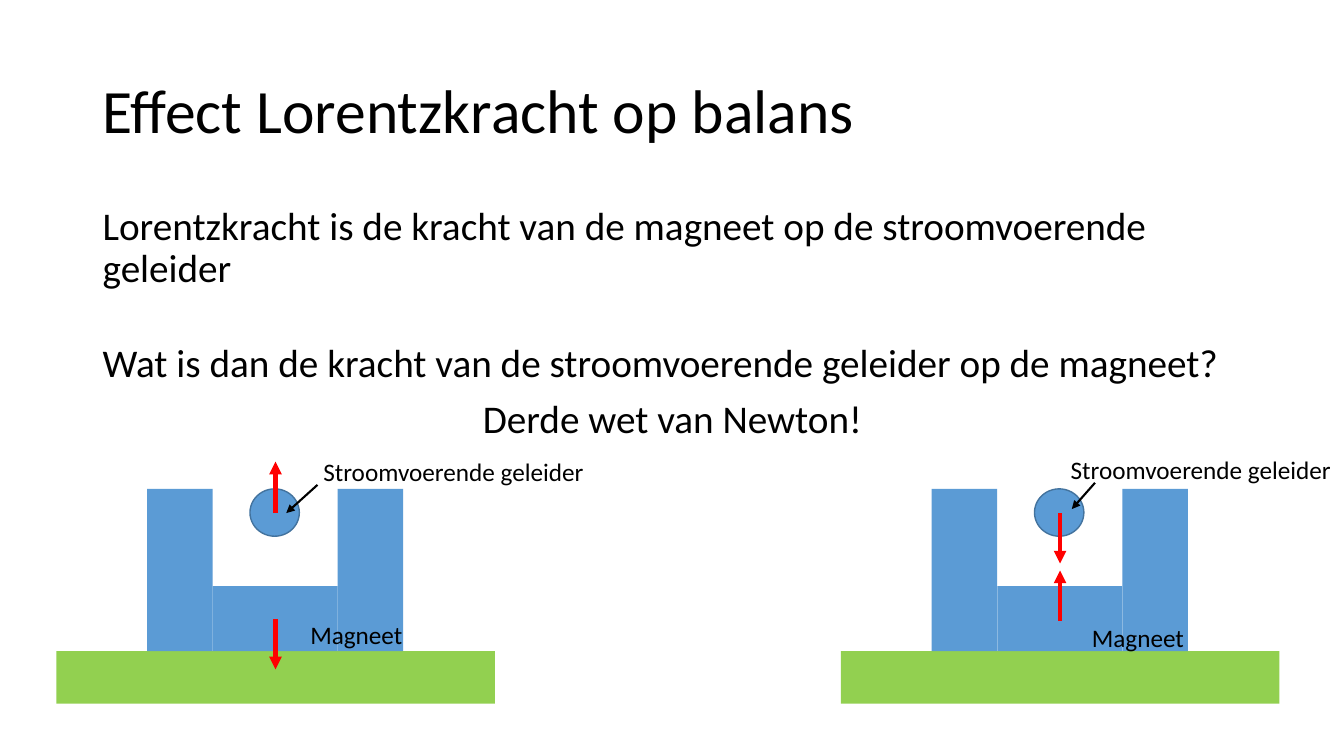
from dataclasses import dataclass

from lxml import etree
from pptx import Presentation
from pptx.dml.color import RGBColor
from pptx.enum.shapes import MSO_CONNECTOR, MSO_SHAPE
from pptx.enum.text import MSO_ANCHOR, PP_ALIGN
from pptx.oxml.ns import qn
from pptx.util import Inches, Pt

RECT, OVAL = MSO_SHAPE.RECTANGLE, MSO_SHAPE.OVAL
LINE = MSO_CONNECTOR.STRAIGHT
TOP, MIDDLE = MSO_ANCHOR.TOP, MSO_ANCHOR.MIDDLE
LEFT, CENTER = PP_ALIGN.LEFT, PP_ALIGN.CENTER


@dataclass(frozen=True)
class Theme:
    """Colours, font and type sizes of the slide."""
    font: str = "Calibri"
    ink: RGBColor = RGBColor(0, 0, 0)
    blue: RGBColor = RGBColor(0x5B, 0x9B, 0xD5)
    edge: RGBColor = RGBColor(0x43, 0x73, 0x9E)
    green: RGBColor = RGBColor(0x92, 0xD0, 0x50)
    red: RGBColor = RGBColor(0xFF, 0, 0)
    title: int = 44
    body: int = 28
    label: int = 18


theme = Theme()
deck = Presentation()
deck.slide_width, deck.slide_height = Inches(13.33), Inches(7.5)
slide = deck.slides.add_slide(deck.slide_layouts[6])
shapes = slide.shapes

# The grid has 40 columns and 30 rows.
col, row = deck.slide_width / 40, deck.slide_height / 30


def place(*cells):
    """Turn alternating columns and rows into slide lengths."""
    return [round(n * (row if i % 2 else col)) for i, n in enumerate(cells)]


def write(box, lines, size, anchor=TOP, wrap=True, lead=0.9):
    """Add a text box; each line is (text, alignment, space before)."""
    frame = shapes.add_textbox(*place(*box)).text_frame
    frame.word_wrap = wrap
    frame.vertical_anchor = anchor
    for i, (text, align, gap) in enumerate(lines):
        para = frame.add_paragraph() if i else frame.paragraphs[0]
        para.alignment, para.line_spacing = align, lead
        para.space_before = Pt(gap)
        run = para.add_run()
        run.text = text
        run.font.name, run.font.size = theme.font, Pt(size)
        run.font.color.rgb = theme.ink


write((2.76, 1.6, 34.5, 5.8),
      [("Effect Lorentzkracht op balans", LEFT, 0)], theme.title, MIDDLE)
write((2.76, 8, 34.5, 19), [
    ("Lorentzkracht is de kracht van de magneet op de stroomvoerende geleider",
     LEFT, 10),
    ("Wat is dan de kracht van de stroomvoerende geleider op de magneet?",
     LEFT, 37.5),
    ("Derde wet van Newton!", CENTER, 10),
], theme.body)

# Parts of one balance: kind, cells, fill, edge.
parts = [
    (RECT, (1.68, 25.84, 13.05, 2.08), theme.green, None),
    (RECT, (4.38, 19.4, 1.95, 6.44), theme.blue, None),
    (RECT, (6.33, 23.26, 3.72, 2.58), theme.blue, None),
    (RECT, (10.05, 19.4, 1.95, 6.44), theme.blue, None),
    (OVAL, (7.44, 19.4, 1.47, 1.88), theme.blue, theme.edge),
]

# Each scene: shift, force rows (wire, magnet), pointer, label corners.
mid = 8.2
scenes = [
    (0, [(20.36, 18.32), (24.56, 26.56)], (9.45, 19.24, 8.52, 20.36),
     (9.33, 17.92), (8.94, 24.36)),
    (23.35, [(20.36, 22.36), (24.64, 22.64)], (9.24, 19.16, 8.55, 20.2),
     (8.22, 17.84), (8.85, 24.48)),
]

for shift, forces, point, wire, magnet in scenes:
    for kind, (x, y, w, h), fill, edge in parts:
        part = shapes.add_shape(kind, *place(x + shift, y, w, h))
        part.shadow.inherit = False
        part.fill.solid()
        part.fill.fore_color.rgb = fill
        if edge is None:
            part.line.fill.background()
        else:
            part.line.color.rgb, part.line.width = edge, Pt(1)

    arrows = [((mid, start, mid, end), theme.red, 3) for start, end in forces]
    arrows.append((point, theme.ink, 1.5))
    for (x1, y1, x2, y2), color, width in arrows:
        arrow = shapes.add_connector(
            LINE, *place(x1 + shift, y1, x2 + shift, y2))
        arrow.line.color.rgb, arrow.line.width = color, Pt(width)
        etree.SubElement(arrow.line._get_or_add_ln(), qn("a:tailEnd"),
                         type="triangle")
        etree.SubElement(arrow._element.spPr, qn("a:effectLst"))

    for text, (x, y), width in [("Magneet", magnet, 3.9),
                                ("Stroomvoerende geleider", wire, 8.42)]:
        write((x + shift, y, width, 1.6), [(text, LEFT, 0)],
              theme.label, wrap=False, lead=1.0)

deck.save("out.pptx")
